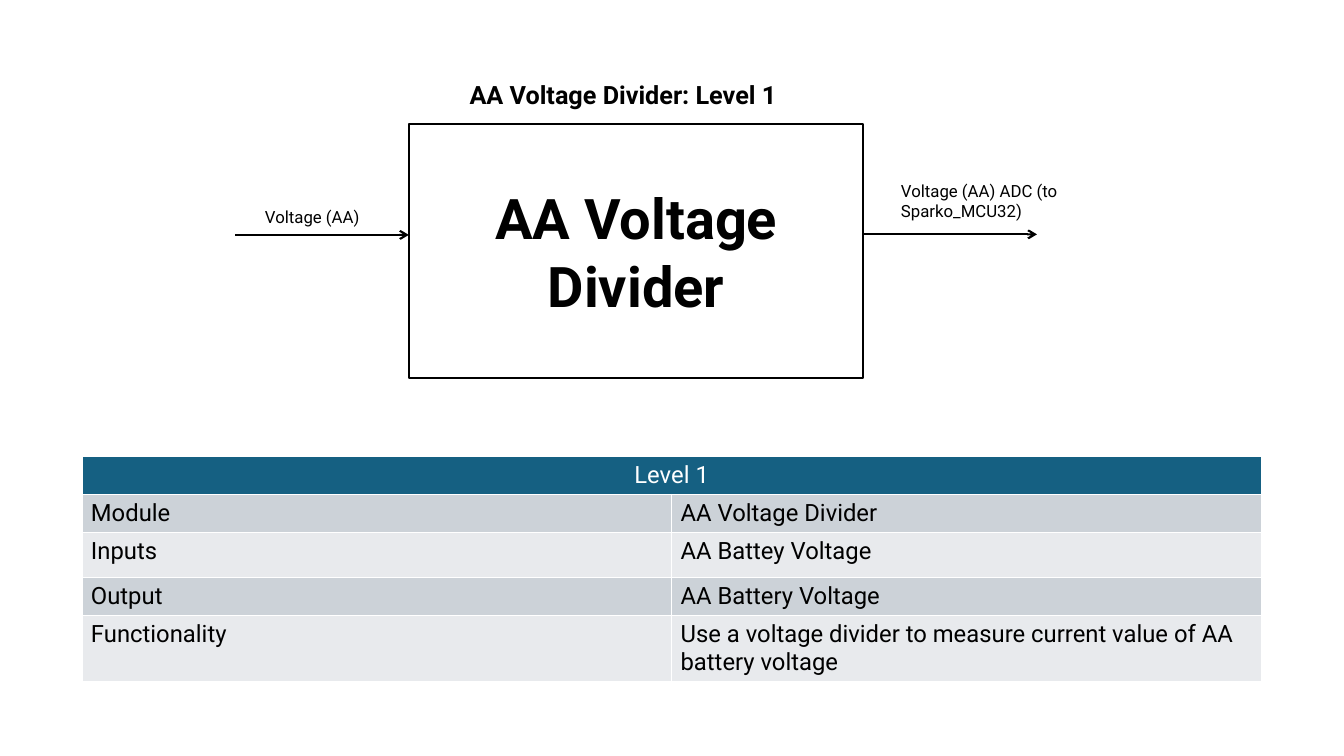
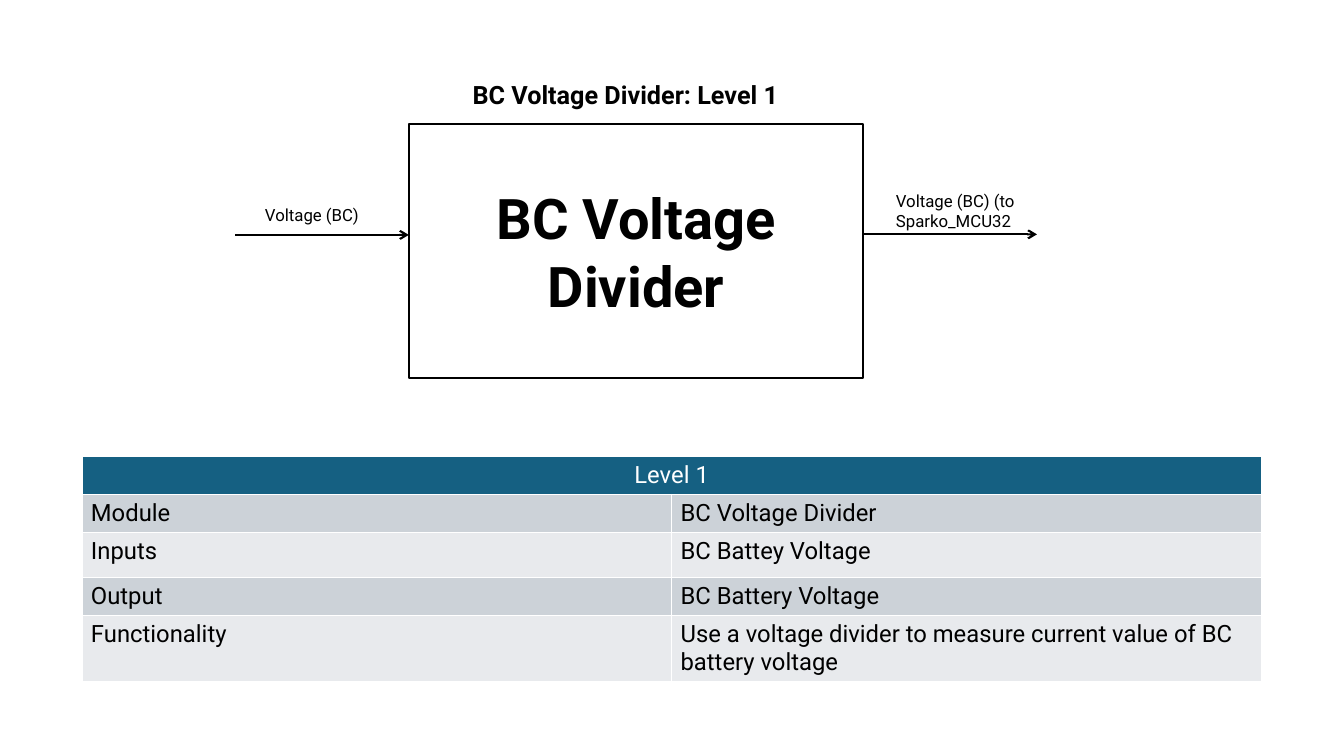
import dataclasses

import lxml.etree
import pptx
import pptx.dml.color
import pptx.enum.shapes
import pptx.enum.text
import pptx.oxml.ns
import pptx.util

Pt = pptx.util.Pt
RGB = pptx.dml.color.RGBColor.from_string
ALIGN = pptx.enum.text.PP_ALIGN
ANCHOR = pptx.enum.text.MSO_ANCHOR
qn = pptx.oxml.ns.qn


@dataclasses.dataclass(frozen=True)
class Theme:
    font: str = "Roboto"
    ink: str = "000000"
    paper: str = "FFFFFF"
    header: str = "156082"
    bands: tuple = ("CCD2D8", "E8EAED")
    block_size: int = 40
    title_size: int = 18
    table_size: int = 17
    label_size: int = 12
    line_width: float = 1.5


theme = Theme()


def write(tf, text, size, color=theme.ink, bold=False, align=ALIGN.LEFT):
    tf.word_wrap = True
    tf.text = text
    p = tf.paragraphs[0]
    p.alignment = align
    font = p.runs[0].font
    font.name = theme.font
    font.size = Pt(size)
    font.bold = bold
    font.color.rgb = RGB(color)


def fill_cell(cell, fill, text, **style):
    cell.margin_left = cell.margin_right = Pt(6.4)
    cell.margin_top = cell.margin_bottom = Pt(3.3)
    cell.fill.solid()
    cell.fill.fore_color.rgb = RGB(fill)
    write(cell.text_frame, text, theme.table_size, **style)


prs = pptx.Presentation()
prs.slide_width, prs.slide_height = Pt(960), Pt(540)

block_left, block_top, block_width, block_height = 292, 88.6, 324.7, 181.4
block_right = block_left + block_width
arrow_length = 124
arrows = [
    (block_left - arrow_length, 167.8, block_left, 167.8),
    (block_right, 167.4, block_right + arrow_length, 167.4),
]
row_heights = [26.6, 26.6, 32.4, 26.6, 46.6]

# Battery name, title left, input label top, output label (text, left, top)
dividers = [
    ("AA", 328.3, 144, ("Voltage (AA) ADC (to Sparko_MCU32)", 636.5, 125.6)),
    ("BC", 330.5, 142.6, ("Voltage (BC) (to Sparko_MCU32", 632.9, 132.5)),
]

for battery, title_left, input_top, (output, output_left, output_top) in dividers:
    s = prs.slides.add_slide(prs.slide_layouts[6])
    module = f"{battery} Voltage Divider"

    block = s.shapes.add_shape(
        pptx.enum.shapes.MSO_SHAPE.RECTANGLE,
        Pt(block_left), Pt(block_top), Pt(block_width), Pt(block_height))
    block.shadow.inherit = False
    block.fill.solid()
    block.fill.fore_color.rgb = RGB(theme.paper)
    block.line.color.rgb = RGB(theme.ink)
    block.line.width = Pt(theme.line_width)
    block.text_frame.vertical_anchor = ANCHOR.MIDDLE
    write(block.text_frame, module, theme.block_size, bold=True, align=ALIGN.CENTER)

    for x1, y1, x2, y2 in arrows:
        arrow = s.shapes.add_connector(
            pptx.enum.shapes.MSO_CONNECTOR.STRAIGHT, Pt(x1), Pt(y1), Pt(x2), Pt(y2))
        arrow.line.color.rgb = RGB(theme.ink)
        arrow.line.width = Pt(theme.line_width)
        lxml.etree.SubElement(arrow.line._get_or_add_ln(), qn("a:tailEnd"), type="arrow")
        lxml.etree.SubElement(arrow._element.spPr, qn("a:effectLst"))

    for text, left, top, width, height, size, bold in [
        (f"{module}: Level 1", title_left, 53.3, 247.7, 29, theme.title_size, True),
        (f"Voltage ({battery})", 182.2, input_top, 117.4, 21.6, theme.label_size, False),
        (output, output_left, output_top, 130, 36, theme.label_size, False),
    ]:
        label = s.shapes.add_textbox(Pt(left), Pt(top), Pt(width), Pt(height))
        write(label.text_frame, text, size, bold=bold)

    rows = [
        ("Module", module),
        ("Inputs", f"{battery} Battey Voltage"),
        ("Output", f"{battery} Battery Voltage"),
        ("Functionality",
         f"Use a voltage divider to measure current value of {battery} battery voltage"),
    ]
    table = s.shapes.add_table(
        len(row_heights), 2, Pt(58.6), Pt(326.2), Pt(842.4), Pt(sum(row_heights))).table
    for row, height in zip(table.rows, row_heights):
        row.height = Pt(height)

    header = table.cell(0, 0)
    header.merge(table.cell(0, 1))
    fill_cell(header, theme.header, "Level 1", color=theme.paper, align=ALIGN.CENTER)

    for i, values in enumerate(rows):
        for j, value in enumerate(values):
            fill_cell(table.cell(i + 1, j), theme.bands[i % 2], value)

prs.save("out.pptx")
